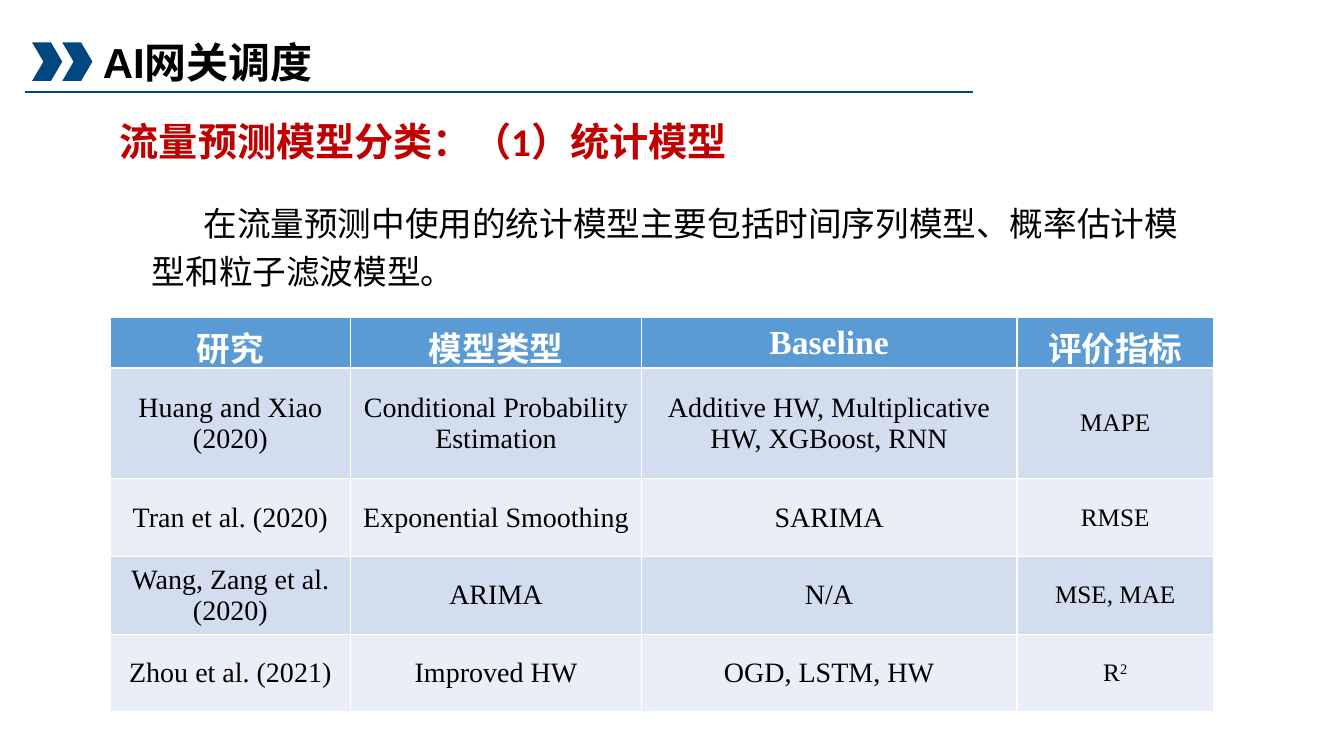
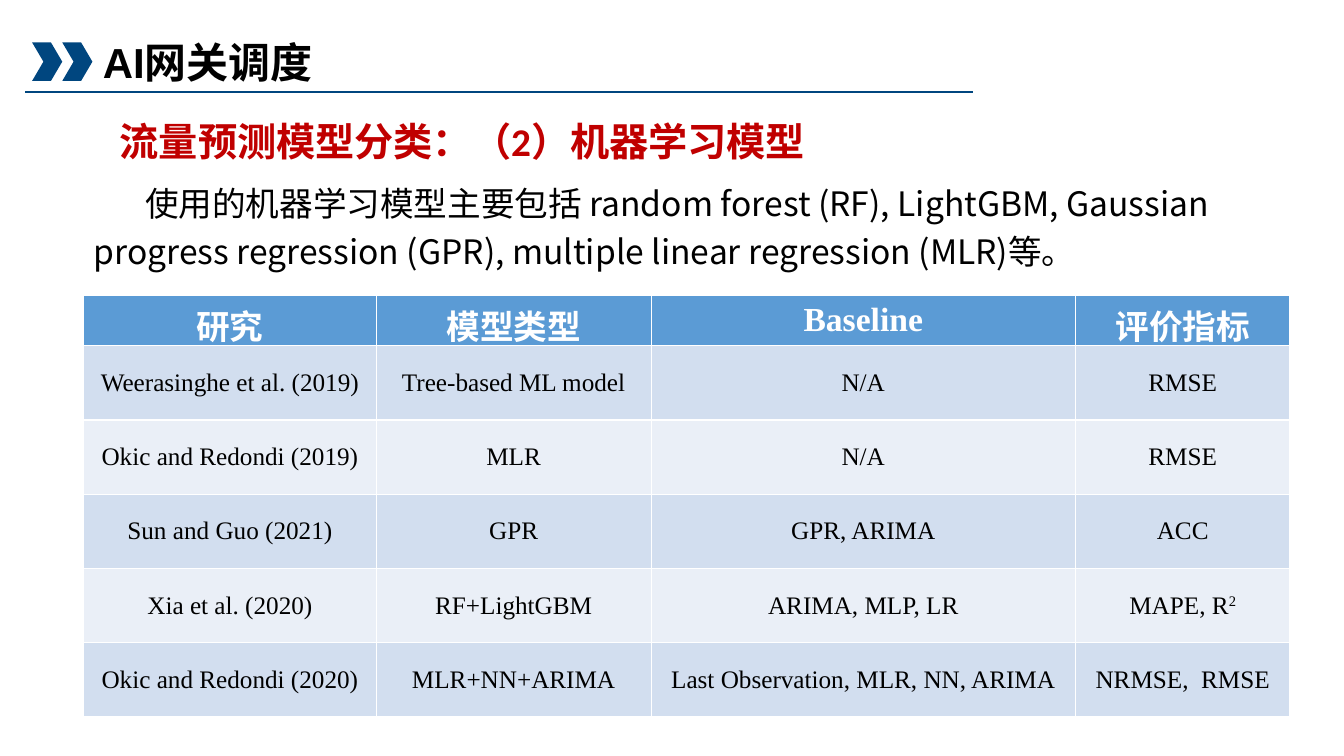
from dataclasses import dataclass

from lxml.etree import SubElement
from pptx import Presentation
from pptx.dml.color import RGBColor as Rgb
from pptx.enum.shapes import MSO_CONNECTOR as Link, MSO_SHAPE as Form
from pptx.enum.text import MSO_ANCHOR as Anchor, MSO_AUTO_SIZE as Fit, PP_ALIGN as Align
from pptx.oxml.ns import qn
from pptx.util import Cm, Pt


@dataclass(frozen=True)
class Theme:
    navy: str = "00467F"
    red: str = "C00000"
    black: str = "000000"
    white: str = "FFFFFF"
    head: str = "5B9BD5"
    bands: tuple = ("D2DEEF", "EAEFF7")
    sans: str = "Arial"
    topic: str = "Calibri"
    serif: str = "Times New Roman"
    han: str = "Noto Sans CJK SC"
    title_size: int = 30
    topic_size: int = 28
    text_size: int = 24
    cell_size: int = 20
    small_size: int = 18


THEME = Theme()


def write(frame, text, size, font, color=THEME.black, bold=False,
          align=Align.LEFT, space=None, indent=0):
    para = frame.paragraphs[0]
    para.alignment = align
    if space:
        para.line_spacing = space
    if indent:
        para._p.get_or_add_pPr().set("indent", str(Cm(indent)))
    for i, part in enumerate(text.split("^")):
        run = para.add_run()
        run.text = part
        run.font.size = Pt(size)
        run.font.bold = bold
        run.font.name = font
        run.font.color.rgb = Rgb.from_string(color)
        props = run._r.get_or_add_rPr()
        SubElement(props, qn("a:ea")).set("typeface", THEME.han)
        if i:
            props.set("baseline", "30000")


class Deck:
    def __init__(self, theme):
        self.theme = theme
        self.show = Presentation()
        self.show.slide_width, self.show.slide_height = Cm(33.87), Cm(19.05)
        self.slide = None

    def start(self, title):
        self.slide = self.show.slides.add_slide(self.show.slide_layouts[5])
        self.rule()
        box = self.slide.shapes.title
        box.left, box.top, box.width, box.height = Cm(2.34), Cm(0.79), Cm(8.97), Cm(1.52)
        self.fill_box(box, title, size=self.theme.title_size,
                      font=self.theme.sans, bold=True)
        for i in range(2):
            self.arrow(0.81 + 0.76 * i)

    def rule(self):
        line = self.slide.shapes.add_connector(
            Link.STRAIGHT, Cm(0.64), Cm(2.31), Cm(24.51), Cm(2.31))
        line.line.color.rgb = Rgb.from_string(self.theme.navy)
        line.line.width = Pt(1.5)
        SubElement(line._element.spPr, qn("a:effectLst"))

    def arrow(self, left):
        shape = self.slide.shapes.add_shape(
            Form.CHEVRON, Cm(left), Cm(1.07), Cm(0.76), Cm(0.97))
        shape.adjustments[0] = 0.375
        shape.shadow.inherit = False
        shape.fill.solid()
        shape.fill.fore_color.rgb = Rgb.from_string(self.theme.navy)
        shape.line.fill.background()

    def fill_box(self, box, text, **style):
        frame = box.text_frame
        frame.word_wrap = True
        frame.auto_size = Fit.SHAPE_TO_FIT_TEXT
        frame.vertical_anchor = Anchor.TOP
        write(frame, text, **style)

    def text(self, text, left, top, width, height, **style):
        box = self.slide.shapes.add_textbox(Cm(left), Cm(top), Cm(width), Cm(height))
        self.fill_box(box, text, **style)

    def topic(self, text, width):
        self.text(text, 2.77, 2.82, width, 1.45, size=self.theme.topic_size,
                  font=self.theme.topic, color=self.theme.red, bold=True)

    def body(self, text, left, top, width):
        self.text(text, left, top, width, 2.72, size=self.theme.text_size,
                  font=self.theme.han, space=1.2, indent=1.3)

    def table(self, rows, left, top, widths, heights, sizes):
        theme = self.theme
        rows = [("研究", "模型类型", "Baseline", "评价指标"), *rows]
        grid = self.slide.shapes.add_table(
            len(rows), len(widths), Cm(left), Cm(top),
            Cm(sum(widths)), Cm(sum(heights))).table
        for col, width in zip(grid.columns, widths):
            col.width = Cm(width)
        for r, (row, height) in enumerate(zip(rows, heights)):
            grid.rows[r].height = Cm(height)
            for c, text in enumerate(row):
                cell = grid.cell(r, c)
                cell.vertical_anchor = Anchor.MIDDLE
                cell.fill.solid()
                shade = theme.bands[(r - 1) % 2] if r else theme.head
                cell.fill.fore_color.rgb = Rgb.from_string(shade)
                write(cell.text_frame, text, font=theme.serif, align=Align.CENTER,
                      size=sizes[c] if r else theme.text_size,
                      color=theme.black if r else theme.white, bold=not r)


def main():
    deck = Deck(THEME)
    title = "AI网关调度"
    cell, small = THEME.cell_size, THEME.small_size

    deck.start(title)
    deck.topic("流量预测模型分类：（1）统计模型", 16.46)
    deck.body("在流量预测中使用的统计模型主要包括时间序列模型、概率估计模型和粒子滤波模型。",
              3.58, 4.78, 26.7)
    deck.table([
        ("Huang and Xiao (2020)", "Conditional Probability Estimation",
         "Additive HW, Multiplicative HW, XGBoost, RNN", "MAPE"),
        ("Tran et al. (2020)", "Exponential Smoothing", "SARIMA", "RMSE"),
        ("Wang, Zang et al. (2020)", "ARIMA", "N/A", "MSE, MAE"),
        ("Zhou et al. (2021)", "Improved HW", "OGD, LSTM, HW", "R^2"),
    ], 2.77, 8, (6.07, 7.32, 9.47, 4.95), [1.27, 2.79] + [1.96] * 3,
        [cell] * 3 + [small])

    deck.start(title)
    deck.topic("流量预测模型分类：（2）机器学习模型", 18.64)
    deck.table([
        ("Weerasinghe et al. (2019)", "Tree-based ML model", "N/A", "RMSE"),
        ("Okic and Redondi (2019)", "MLR", "N/A", "RMSE"),
        ("Sun and Guo (2021)", "GPR", "GPR, ARIMA", "ACC"),
        ("Xia et al. (2020)", "RF+LightGBM", "ARIMA, MLP, LR", "MAPE, R^2"),
        ("Okic and Redondi (2020)", "MLR+NN+ARIMA",
         "Last Observation, MLR, NN, ARIMA", "NRMSE,  RMSE"),
    ], 2.11, 7.44, (7.37, 6.93, 10.69, 5.41), [1.27] + [1.87] * 5, [small] * 4)
    deck.body("使用的机器学习模型主要包括 random forest (RF), LightGBM, Gaussian progress "
              "regression (GPR), multiple linear regression (MLR)等。", 2.11, 4.27, 29.95)

    deck.show.save("out.pptx")


if __name__ == "__main__":
    main()
